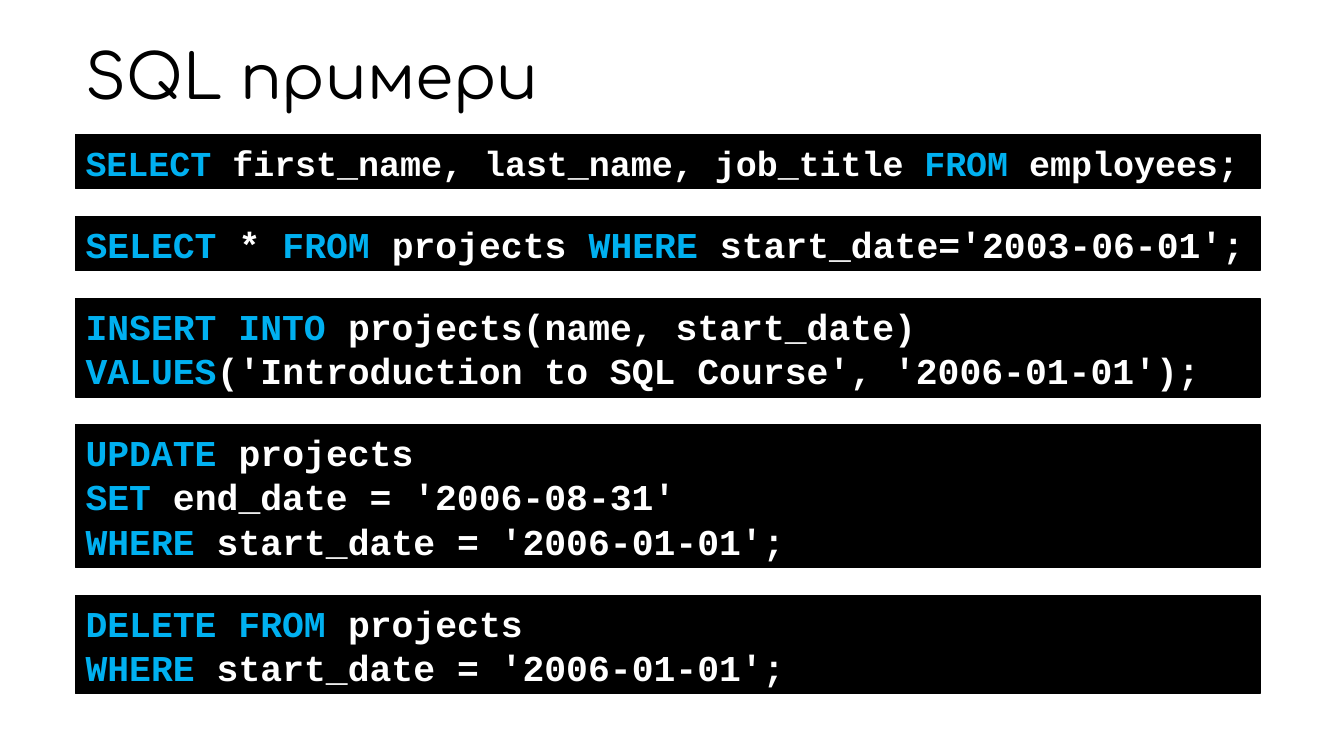
from pptx import Presentation
from pptx.dml.color import RGBColor
from pptx.enum.shapes import MSO_SHAPE
from pptx.enum.text import MSO_ANCHOR, MSO_AUTO_SIZE, PP_ALIGN
from pptx.util import Pt

RECTANGLE = MSO_SHAPE.RECTANGLE
TOP, MIDDLE = MSO_ANCHOR.TOP, MSO_ANCHOR.MIDDLE
NO_FIT = MSO_AUTO_SIZE.NONE
LEFT = PP_ALIGN.LEFT

# Content: each statement is a list of lines; keywords and plain text alternate
TITLE = "SQL примери"
STATEMENTS = [
    [("SELECT", " first_name, last_name, job_title ", "FROM", " employees;")],
    [("SELECT", " * ", "FROM", " projects ", "WHERE", " start_date='2003-06-01';")],
    [("INSERT INTO", " projects(name, start_date)"),
     ("VALUES", "('Introduction to SQL Course', '2006-01-01');")],
    [("UPDATE", " projects"),
     ("SET", " end_date = '2006-08-31'"),
     ("WHERE", " start_date = '2006-01-01';")],
    [("DELETE FROM", " projects"),
     ("WHERE", " start_date = '2006-01-01';")],
]

THEME = {
    "black": RGBColor(0x00, 0x00, 0x00),
    "keyword": RGBColor(0x00, 0xB0, 0xF0),
    "plain": RGBColor(0xFF, 0xFF, 0xFF),
    "title_font": {"name": "Comfortaa", "size": Pt(44), "bold": False},
    "code_font": {"name": "Courier New", "bold": True},
    "code_size": 26,
}

# Layout in points
SLIDE_W, SLIDE_H = 960, 540
MARGIN_X = 54
TITLE_TOP, TITLE_W, TITLE_H = 23, 839.5, 67
CODE_TOP, CODE_W = 96, 846
LINE_H, BOX_PADDING, BOX_GAP = 31.6, 7.2, 19.8
INSET_X, INSET_TOP = 7.2, 3.6
CHAR_RATIO = 0.6  # width of a monospaced character relative to its size

TITLE_FRAME = {"vertical_anchor": MIDDLE, "word_wrap": True, "auto_size": NO_FIT}
CODE_FRAME = {
    "vertical_anchor": TOP, "word_wrap": True, "auto_size": NO_FIT,
    "margin_left": Pt(INSET_X), "margin_right": Pt(INSET_X),
    "margin_top": Pt(INSET_TOP), "margin_bottom": Pt(0),
}


def apply(target, values):
    for attribute, value in values.items():
        setattr(target, attribute, value)


def add_run(paragraph, text, font, color):
    run = paragraph.add_run()
    run.text = text
    apply(run.font, font)
    run.font.color.rgb = color


def fitting_size(line):
    """Largest whole type size, up to the theme's, that keeps the line unbroken."""
    characters = len("".join(line))
    widest = (CODE_W - 2 * INSET_X) / (CHAR_RATIO * characters)
    return min(THEME["code_size"], int(widest))


def add_title(slide):
    title = slide.shapes.title
    apply(title, {"left": Pt(MARGIN_X), "top": Pt(TITLE_TOP),
                  "width": Pt(TITLE_W), "height": Pt(TITLE_H)})
    apply(title.text_frame, TITLE_FRAME)
    heading = title.text_frame.paragraphs[0]
    apply(heading, {"alignment": LEFT, "line_spacing": 0.9})
    add_run(heading, TITLE, THEME["title_font"], THEME["black"])


def add_statement(slide, lines, top, height):
    box = slide.shapes.add_shape(
        RECTANGLE, Pt(MARGIN_X), Pt(top), Pt(CODE_W), Pt(height))
    box.shadow.inherit = False
    box.fill.solid()
    box.fill.fore_color.rgb = THEME["black"]
    box.line.color.rgb = THEME["black"]
    box.line.width = Pt(1)
    frame = box.text_frame
    apply(frame, CODE_FRAME)
    for number, line in enumerate(lines):
        code_line = frame.add_paragraph() if number else frame.paragraphs[0]
        apply(code_line, {"alignment": LEFT, "line_spacing": Pt(LINE_H)})
        font = {**THEME["code_font"], "size": Pt(fitting_size(line))}
        for position, text in enumerate(line):
            color = THEME["plain" if position % 2 else "keyword"]
            add_run(code_line, text, font, color)


def main():
    deck = Presentation()
    deck.slide_width, deck.slide_height = Pt(SLIDE_W), Pt(SLIDE_H)
    slide = deck.slides.add_slide(deck.slide_layouts[5])
    add_title(slide)

    # Statement boxes stacked with equal gaps
    top = CODE_TOP
    for lines in STATEMENTS:
        height = BOX_PADDING + LINE_H * len(lines)
        add_statement(slide, lines, top, height)
        top += height + BOX_GAP

    deck.save("out.pptx")


if __name__ == "__main__":
    main()
